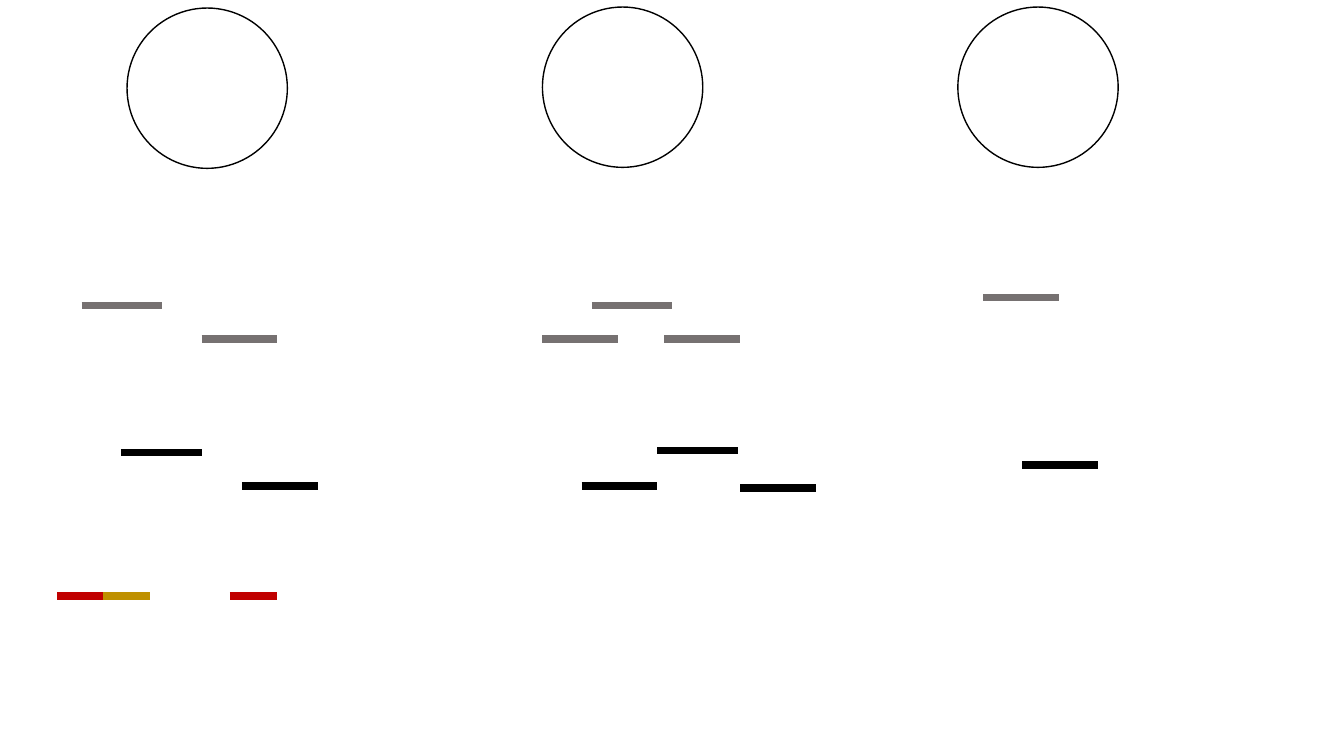
import dataclasses

import pptx
import pptx.dml.color
import pptx.enum.shapes
import pptx.oxml.xmlchemy
import pptx.shapes.autoshape
import pptx.shapes.connector
import pptx.slide
import pptx.util
from pptx.oxml.ns import qn
from pptx.util import Inches
from lxml import etree

BLACK = pptx.dml.color.RGBColor(0x00, 0x00, 0x00)
GRAY = pptx.dml.color.RGBColor(0x76, 0x71, 0x71)
RED = pptx.dml.color.RGBColor(0xC0, 0x00, 0x00)
GOLD = pptx.dml.color.RGBColor(0xBF, 0x90, 0x00)

CIRCLE_SIZE = 1.59
CIRCLE_WEIGHT = pptx.util.Pt(1)
BAR_WEIGHT = pptx.util.Pt(5.5)
LONG, MEDIUM, SHORT = 0.8, 0.75, 0.47


@dataclasses.dataclass(frozen=True)
class Circle:
    """Top left corner of an outlined circle, in inches."""

    left: float
    top: float


@dataclasses.dataclass(frozen=True)
class Bar:
    """Horizontal bar: left end, height on the slide and length, in inches."""

    left: float
    y: float
    length: float
    color: pptx.dml.color.RGBColor


CIRCLES = [Circle(1.26, 0.08), Circle(5.38, 0.07), Circle(9.5, 0.07)]

BARS = [
    Bar(0.81, 3.03, LONG, GRAY),
    Bar(2.0, 3.36, MEDIUM, GRAY),
    Bar(5.87, 3.03, LONG, GRAY),
    Bar(5.38, 3.36, MEDIUM, GRAY),
    Bar(6.59, 3.36, MEDIUM, GRAY),
    Bar(9.75, 2.95, MEDIUM, GRAY),
    Bar(1.2, 4.49, LONG, BLACK),
    Bar(2.4, 4.82, MEDIUM, BLACK),
    Bar(6.52, 4.47, LONG, BLACK),
    Bar(5.77, 4.82, MEDIUM, BLACK),
    Bar(7.34, 4.84, MEDIUM, BLACK),
    Bar(10.14, 4.61, MEDIUM, BLACK),
    Bar(2.28, 5.91, SHORT, RED),
    Bar(0.57, 5.91, SHORT, RED),
    Bar(1.02, 5.91, SHORT, GOLD),
]


def draw_circle(
    slide: pptx.slide.Slide, circle: Circle
) -> pptx.shapes.autoshape.Shape:
    """Draw an unfilled circle with a thin black outline."""
    shape = slide.shapes.add_shape(
        pptx.enum.shapes.MSO_SHAPE.OVAL,
        Inches(circle.left),
        Inches(circle.top),
        Inches(CIRCLE_SIZE),
        Inches(CIRCLE_SIZE),
    )
    shape.shadow.inherit = False
    shape.fill.background()
    shape.line.color.rgb = BLACK
    shape.line.width = CIRCLE_WEIGHT
    return shape


def draw_bar(
    slide: pptx.slide.Slide, bar: Bar
) -> pptx.shapes.connector.Connector:
    """Draw a thick horizontal line without a shadow."""
    connector = slide.shapes.add_connector(
        pptx.enum.shapes.MSO_CONNECTOR.STRAIGHT,
        Inches(bar.left),
        Inches(bar.y),
        Inches(bar.left + bar.length),
        Inches(bar.y),
    )
    connector.line.color.rgb = bar.color
    connector.line.width = BAR_WEIGHT
    etree.SubElement(connector._element.spPr, qn("a:effectLst"))
    return connector


def main() -> None:
    """Build the slide and save it."""
    presentation = pptx.Presentation()
    presentation.slide_width = Inches(13.33)
    presentation.slide_height = Inches(7.5)
    slide = presentation.slides.add_slide(presentation.slide_layouts[6])
    for circle in CIRCLES:
        draw_circle(slide, circle)
    for bar in BARS:
        draw_bar(slide, bar)
    presentation.save("out.pptx")


main()
